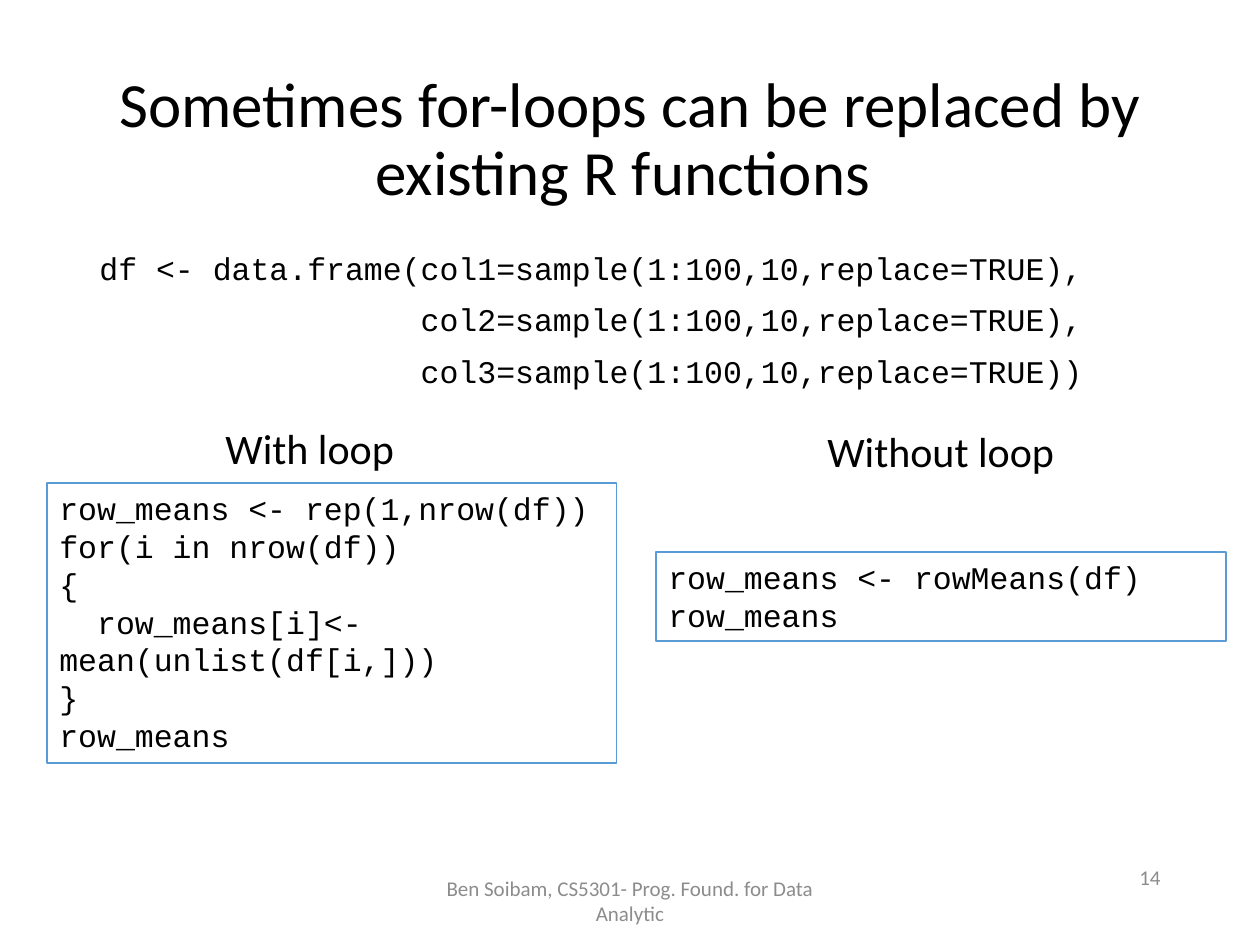
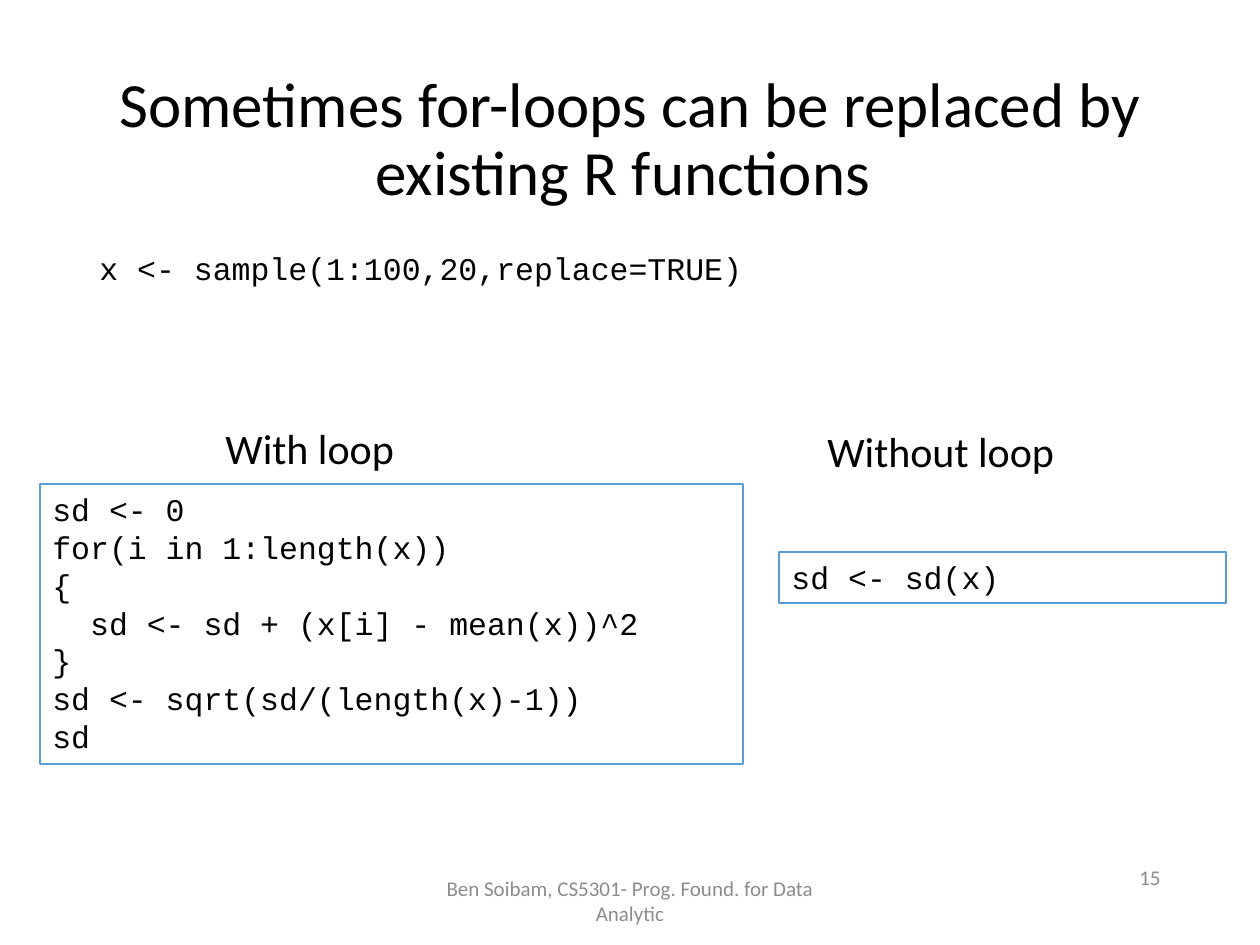
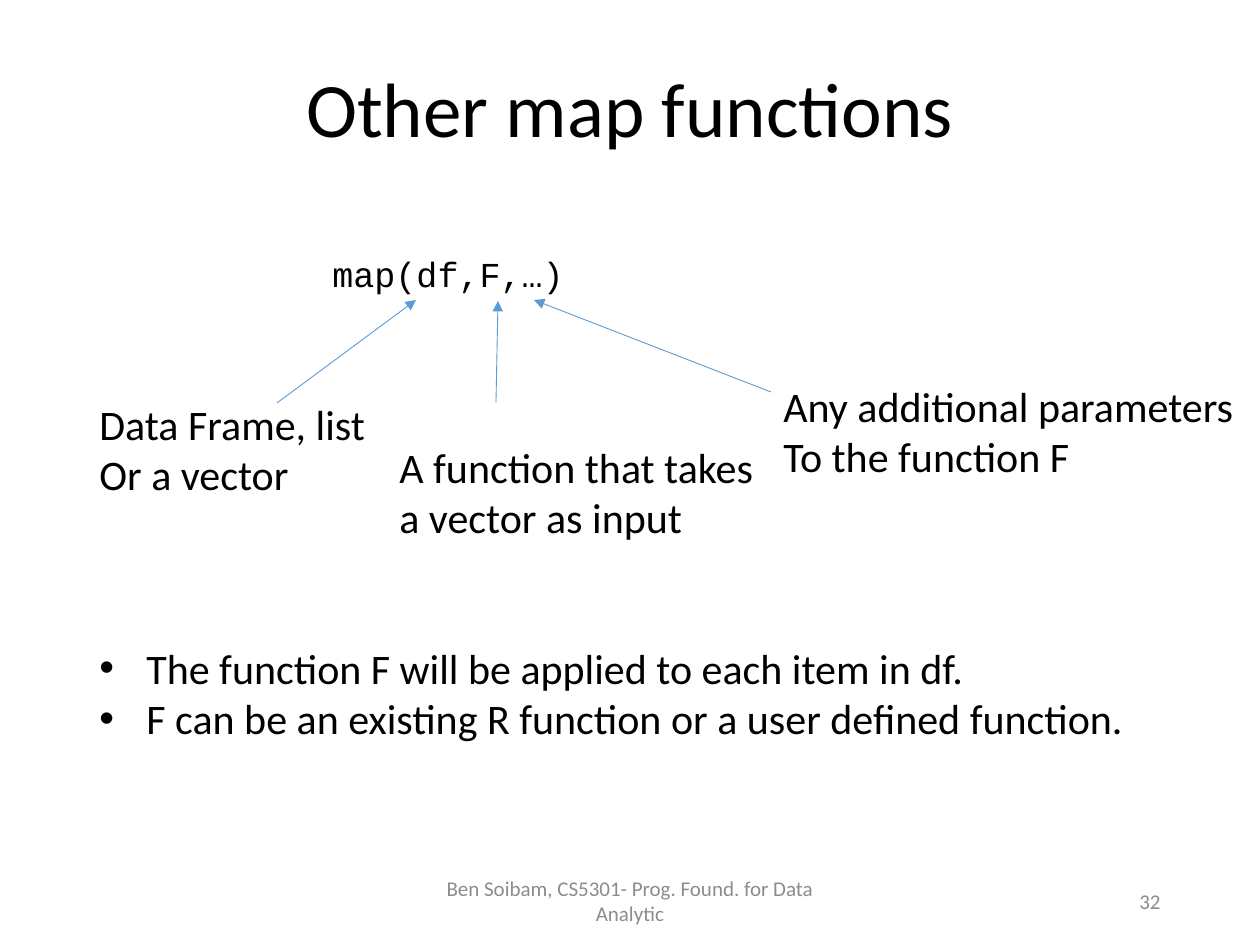
from collections import namedtuple

from lxml.etree import SubElement
from pptx import Presentation
from pptx.dml.color import RGBColor
from pptx.enum.shapes import MSO_CONNECTOR as Connector, MSO_SHAPE as Shape
from pptx.enum.text import MSO_ANCHOR as Anchor, MSO_AUTO_SIZE as AutoSize, PP_ALIGN as Align
from pptx.oxml.ns import qn
from pptx.util import Emu, Pt

BLACK = RGBColor(0x00, 0x00, 0x00)
GREY = RGBColor(0x8C, 0x8C, 0x8C)
BLUE = RGBColor(0x5B, 0x9B, 0xD5)
SANS = "Calibri"
MONO = "Courier New"
PX_PER_INCH = 126
FOOTER = "Ben Soibam, CS5301- Prog. Found. for Data Analytic"
LOOP_TITLE = "Sometimes for-loops can be replaced by existing R functions "

Box = namedtuple("Box", "left top width height")
PAGE = Box(0, 0, 1260, 945)
CONTENT = Box(87, 247, 1086, 600)


def px(length):
    return Emu(round(length * 914400 / PX_PER_INCH))


def within(box, left, top, width, height):
    return Box(box.left + left, box.top + top, width, height)


def write(shape, lines, size, font=SANS, color=BLACK, align=Align.LEFT,
          anchor=Anchor.TOP, spacing=None, before=0, bullet=False, wrap=True):
    frame = shape.text_frame
    frame.word_wrap = wrap
    frame.vertical_anchor = anchor
    if not wrap:
        frame.auto_size = AutoSize.SHAPE_TO_FIT_TEXT
    for index, line in enumerate(lines):
        paragraph = frame.add_paragraph() if index else frame.paragraphs[0]
        paragraph.text = line
        paragraph.alignment = align
        if spacing:
            paragraph.line_spacing = spacing
        if index and before:
            paragraph.space_before = Pt(before)
        if bullet:
            properties = paragraph._p.get_or_add_pPr()
            properties.set("marL", str(px(47)))
            properties.set("indent", str(-px(47)))
            SubElement(properties, qn("a:buFont"), typeface="Arial")
            SubElement(properties, qn("a:buChar"), char="•")
        paragraph.font.name = font
        paragraph.font.size = Pt(size)
        paragraph.font.color.rgb = color


def add_text(slide, box, lines, size, **style):
    write(slide.shapes.add_textbox(*map(px, box)), lines, size, **style)


def add_code_box(slide, box, lines):
    shape = slide.shapes.add_shape(Shape.RECTANGLE, *map(px, box))
    shape.shadow.inherit = False
    shape.fill.background()
    shape.line.color.rgb = BLUE
    shape.line.width = Pt(0.75)
    write(shape, lines, 18, font=MONO)


def add_arrow(slide, box, start, end):
    points = [px(edge + offset) for point in (start, end)
              for edge, offset in zip((box.left, box.top), point)]
    arrow = slide.shapes.add_connector(Connector.STRAIGHT, *points)
    arrow.line.color.rgb = BLUE
    arrow.line.width = Pt(0.5)
    SubElement(arrow.line._get_or_add_ln(), qn("a:tailEnd"), type="triangle")
    SubElement(arrow._element.spPr, qn("a:effectLst"))


def add_page(presentation, title, number, title_size=36, title_top=50, number_top=852):
    slide = presentation.slides.add_slide(presentation.slide_layouts[6])
    add_text(slide, within(PAGE, 87, title_top, 1086, 183), [title], title_size,
             align=Align.CENTER, anchor=Anchor.MIDDLE, spacing=0.9)
    add_text(slide, within(PAGE, 417, 876, 426, 50), [FOOTER], 12,
             color=GREY, align=Align.CENTER, anchor=Anchor.MIDDLE)
    add_text(slide, within(PAGE, 890, number_top, 283, 50), [str(number)], 12,
             color=GREY, align=Align.RIGHT, anchor=Anchor.MIDDLE)
    return slide


def add_comparison(slide, box, setup, loop_box, loop_code, short_box, short_code):
    add_text(slide, box, setup, 18, font=MONO, spacing=0.9, before=10)
    add_code_box(slide, within(box, *loop_box), loop_code)
    add_code_box(slide, within(box, *short_box), short_code)
    add_text(slide, within(box, 126, 169, 195, 63), ["With loop"], 24, wrap=False)
    add_text(slide, within(box, 728, 172, 255, 63), ["Without loop"], 24, wrap=False)


def add_map_call(slide, box):
    add_text(slide, within(box, 233, -1, 258, 55), ["map(df,F,…)"], 20, font=MONO, wrap=False)
    arguments = [
        ((0, 145, 294, 115), ["Data Frame, list", "Or a vector"], (190, 156), (329, 53)),
        ((300, 188, 383, 115), ["A function that takes", "a vector as input"],
         (409, 156), (411, 54)),
        ((684, 127, 480, 115), ["Any additional parameters", "To the function F"],
         (684, 145), (447, 53)),
    ]
    for label_box, label, start, end in arguments:
        add_text(slide, within(box, *label_box), label, 24, wrap=False)
        add_arrow(slide, box, start, end)
    add_text(slide, within(box, 0, 389, 1070, 115), [
        "The function F will be applied to each item in df.",
        "F can be an existing R function or a user defined function.",
    ], 24, bullet=True, wrap=False)


def main():
    presentation = Presentation()
    presentation.slide_width = px(PAGE.width)
    presentation.slide_height = px(PAGE.height)

    row_means = add_page(presentation, LOOP_TITLE, 14)
    add_comparison(
        row_means, CONTENT,
        ["df <- data.frame(col1=sample(1:100,10,replace=TRUE),",
         "                 col2=sample(1:100,10,replace=TRUE),",
         "                 col3=sample(1:100,10,replace=TRUE))"],
        (-40, 236, 570, 280),
        ["row_means <- rep(1,nrow(df))", "for(i in nrow(df))", "{",
         "  row_means[i]<- mean(unlist(df[i,]))", "}", "row_means"],
        (569, 305, 570, 89),
        ["row_means <- rowMeans(df)", "row_means"])

    deviation = add_page(presentation, LOOP_TITLE, 15)
    add_comparison(
        deviation, CONTENT,
        ["x <- sample(1:100,20,replace=TRUE)"],
        (-47, 237, 703, 280),
        ["sd <- 0", "for(i in 1:length(x))", "{", "  sd <- sd + (x[i] - mean(x))^2",
         "}", "sd <- sqrt(sd/(length(x)-1))", "sd"],
        (692, 305, 447, 51),
        ["sd <- sd(x)"])

    map_functions = add_page(presentation, "Other map functions", 32,
                             title_size=44, title_top=21, number_top=876)
    add_map_call(map_functions, CONTENT)

    presentation.save("out.pptx")


if __name__ == "__main__":
    main()
